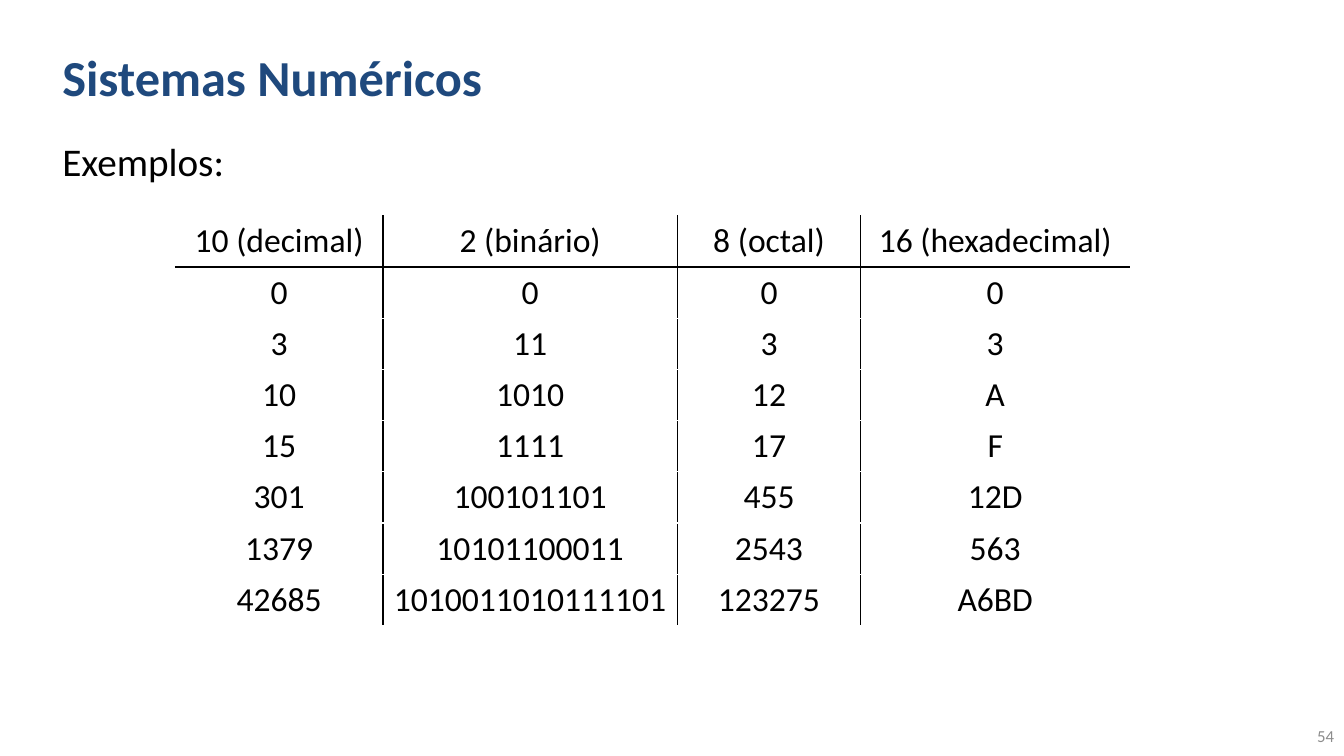
from lxml.etree import SubElement
from pptx import Presentation
from pptx.dml.color import RGBColor
from pptx.enum.text import MSO_ANCHOR, PP_ALIGN
from pptx.oxml.ns import qn
from pptx.util import Cm, Pt

NAVY = RGBColor(0x1F, 0x49, 0x7D)
BLACK = RGBColor(0x00, 0x00, 0x00)
GRAY = RGBColor(0x8C, 0x8C, 0x8C)
WHITE = RGBColor(0xFF, 0xFF, 0xFF)

TITLE = {"size": Pt(36), "bold": True, "color": NAVY}
BODY = {"size": Pt(28), "color": BLACK}
CELL = {"size": Pt(24), "color": BLACK}
NUMBER = {"size": Pt(12), "color": GRAY}

COLUMN_WIDTHS = (5.23, 7.42, 4.62, 6.78)
ROW_HEIGHT = 1.29
BASES = (
    ("10 (decimal)", "2 (binário)", "8 (octal)", "16 (hexadecimal)"),
    ("0", "0", "0", "0"),
    ("3", "11", "3", "3"),
    ("10", "1010", "12", "A"),
    ("15", "1111", "17", "F"),
    ("301", "100101101", "455", "12D"),
    ("1379", "10101100011", "2543", "563"),
    ("42685", "1010011010111101", "123275", "A6BD"),
)


def write(frame, text, style, align=PP_ALIGN.LEFT):
    para = frame.paragraphs[0]
    para.alignment = align
    span = para.add_run()
    span.text = text
    span.font.name = "Calibri"
    for name, value in style.items():
        if name == "color":
            span.font.color.rgb = value
        else:
            setattr(span.font, name, value)


def add_text(page, box, text, style, anchor=MSO_ANCHOR.MIDDLE, align=PP_ALIGN.LEFT):
    frame = page.shapes.add_textbox(*map(Cm, box)).text_frame
    frame.word_wrap = True
    frame.vertical_anchor = anchor
    write(frame, text, style, align)


def add_borders(cell, sides):
    """Draw a thin black line on the given sides, listed in L, R, T, B order."""
    properties = cell._tc.get_or_add_tcPr()
    for side in sides:
        line = SubElement(properties, qn(f"a:ln{side}"), w=str(Pt(1)))
        fill = SubElement(line, qn("a:solidFill"))
        SubElement(fill, qn("a:srgbClr"), val=str(BLACK))


def add_base_table(page, left, top):
    rows, columns = len(BASES), len(COLUMN_WIDTHS)
    table = page.shapes.add_table(
        rows, columns, Cm(left), Cm(top),
        Cm(sum(COLUMN_WIDTHS)), Cm(ROW_HEIGHT * rows)).table
    table.first_row = table.horz_banding = False
    for column, width in zip(table.columns, COLUMN_WIDTHS):
        column.width = Cm(width)
    for r, values in enumerate(BASES):
        table.rows[r].height = Cm(ROW_HEIGHT)
        for c, value in enumerate(values):
            cell = table.cell(r, c)
            cell.vertical_anchor = MSO_ANCHOR.MIDDLE
            write(cell.text_frame, value, CELL, PP_ALIGN.CENTER)
            inner = {"L": c > 0, "R": c < columns - 1, "T": r == 1, "B": r == 0}
            add_borders(cell, [side for side, drawn in inner.items() if drawn])
            cell.fill.solid()
            cell.fill.fore_color.rgb = WHITE


def main():
    deck = Presentation()
    deck.slide_width, deck.slide_height = Cm(33.87), Cm(19.05)
    page = deck.slides.add_slide(deck.slide_layouts[6])
    add_text(page, (1.32, 0.33, 26.87, 3.18), "Sistemas Numéricos", TITLE)
    add_text(page, (1.32, 3.33, 30.99, 3), "Exemplos:", BODY, MSO_ANCHOR.TOP)
    add_base_table(page, 4.42, 5.44)
    add_text(page, (27.94, 18.03, 5.93, 1.02), "54", NUMBER, align=PP_ALIGN.RIGHT)
    deck.save("out.pptx")


if __name__ == "__main__":
    main()
